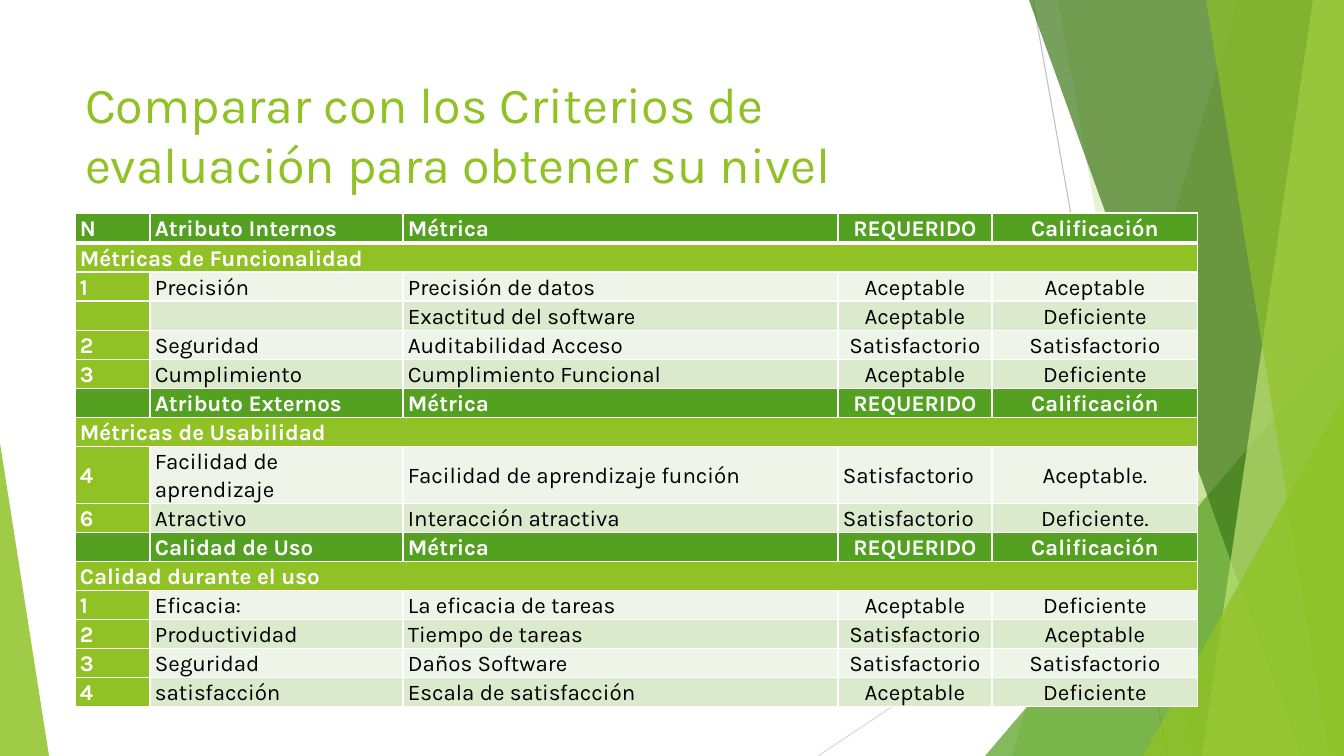
from lxml.etree import SubElement
from pptx import Presentation
from pptx.dml.color import RGBColor
from pptx.enum.shapes import MSO_CONNECTOR, MSO_SHAPE
from pptx.enum.text import MSO_ANCHOR, MSO_AUTO_SIZE, PP_ALIGN
from pptx.oxml.ns import qn
from pptx.util import Pt

PX = 12192000 / 1344
WIDTH, HEIGHT = 1344, 756
FONT = "Karla"
LIME, GREEN, WHITE, BLACK = "90C226", "54A021", "FFFFFF", "000000"
BANDS = ["EEF4E8", "DBE9CD"]

TITLE = "Comparar con los Criterios de evaluación para obtener su nivel"
# Each section: header cells, band label, data rows
SECTIONS = [
    (("N", "Atributo Internos"), "Métricas de Funcionalidad", [
        ("1", "Precisión", "Precisión de datos", "Aceptable", "Aceptable"),
        ("", "", "Exactitud del software", "Aceptable", "Deficiente"),
        ("2", "Seguridad", "Auditabilidad Acceso", "Satisfactorio", "Satisfactorio"),
        ("3", "Cumplimiento", "Cumplimiento Funcional", "Aceptable", "Deficiente"),
    ]),
    (("", "Atributo Externos"), "Métricas de Usabilidad", [
        ("4", "Facilidad de aprendizaje", "Facilidad de aprendizaje función",
         "Satisfactorio", "Aceptable."),
        ("6", "Atractivo", "Interacción atractiva", "Satisfactorio", "Deficiente."),
    ]),
    (("", "Calidad de Uso"), "Calidad durante el uso", [
        ("1", "Eficacia:", "La eficacia de tareas", "Aceptable", "Deficiente"),
        ("2", "Productividad", "Tiempo de tareas", "Satisfactorio", "Aceptable"),
        ("3", "Seguridad", "Daños Software", "Satisfactorio", "Satisfactorio"),
        ("4", "satisfacción", "Escala de satisfacción", "Aceptable", "Deficiente"),
    ]),
]
SHARED_HEADERS = ("Métrica", "REQUERIDO", "Calificación")
LEFT_REQUIRED_SECTION = "Métricas de Usabilidad"

COLUMNS = [75, 253, 435, 154, 206]
TABLE_LEFT, TABLE_TOP = 75, 213
ROW_HEIGHT, TALL_ROW_HEIGHT = 29, 57
TALL_ROW_LABEL = "Facilidad de aprendizaje"

GUIDES = [((1033, 0), (1167, 756), "BFBFBF"), ((1344, 406), (818, 756), "D9D9D9")]
# Facets reach the right edge: (top x, bottom x, colour, opacity %)
# Triangles: (left, top, apex position, width, colour, opacity %), down to the slide bottom
FACETS = [
    ("band", (1238, 1012, LIME, 30)),
    ("band", (1058, 1192, LIME, 20)),
    ("triangle", (985, 336, 1, 359, GREEN, 72)),
    ("band", (1029, 1301, "3F7819", 70)),
    ("band", (1313, 1202, "C0E474", 70)),
    ("band", (1206, 1329, LIME, 65)),
    ("triangle", (1143, 396, 1, 201, LIME, 80)),
    ("triangle", (0, 443, 0, 49, LIME, 85)),
]


def px(*lengths):
    return [round(length * PX) for length in lengths]


def colour(value):
    return RGBColor.from_string(value)


def paint(shape, fill, opacity):
    shape.shadow.inherit = False
    shape.line.fill.background()
    shape.fill.solid()
    shape.fill.fore_color.rgb = colour(fill)
    tint = shape.fill._xPr.find(qn("a:solidFill"))[0]
    SubElement(tint, qn("a:alpha"), val=str(opacity * 1000))


def add_guide(page, start, end, tone):
    guide = page.shapes.add_connector(MSO_CONNECTOR.STRAIGHT, *px(*start, *end))
    guide.line.color.rgb = colour(tone)
    guide.line.width = Pt(0.75)
    SubElement(guide.element.spPr, qn("a:effectLst"))


def add_band(page, top_x, bottom_x, fill, opacity):
    builder = page.shapes.build_freeform(top_x, 0, scale=PX)
    builder.add_line_segments([(WIDTH, 0), (WIDTH, HEIGHT), (bottom_x, HEIGHT)], close=True)
    paint(builder.convert_to_shape(), fill, opacity)


def add_triangle(page, left, top, apex, width, fill, opacity):
    triangle = page.shapes.add_shape(
        MSO_SHAPE.ISOSCELES_TRIANGLE, *px(left, top, width, HEIGHT - top))
    triangle.adjustments[0] = apex
    paint(triangle, fill, opacity)


def add_span(para, text, size, tone, bold=False):
    span = para.add_run()
    span.text = text
    span.font.name = FONT
    span.font.size = Pt(size)
    span.font.bold = bold
    span.font.color.rgb = colour(tone)


def place_title(page):
    title = page.shapes.title
    page.shapes.element.append(title.element)  # bring in front of the facets
    title.left, title.top, title.width, title.height = px(75, 68, 947, 145)
    frame = title.text_frame
    frame.word_wrap = True
    frame.auto_size = MSO_AUTO_SIZE.NONE
    frame.vertical_anchor = MSO_ANCHOR.TOP
    para = frame.paragraphs[0]
    para.alignment = PP_ALIGN.LEFT
    add_span(para, TITLE, 36, LIME)


def table_rows():
    """Return (texts, fills, kind, left-aligned requirement) for every row."""
    rows = []
    for header, label, records in SECTIONS:
        rows.append((header + SHARED_HEADERS, [GREEN] * 5, "header", False))
        rows.append(((label, "", "", "", ""), [LIME] * 5, "label", False))
        for index, record in enumerate(records):
            fills = [LIME] + [BANDS[index % 2]] * 4
            rows.append((record, fills, "data", label == LEFT_REQUIRED_SECTION))
    return rows


def add_borders(cell, top, bottom):
    properties = cell._tc.get_or_add_tcPr()
    for side, points in (("L", 1), ("R", 1), ("T", top), ("B", bottom)):
        line = SubElement(properties, qn("a:ln" + side), w=str(Pt(points)))
        SubElement(SubElement(line, qn("a:solidFill")), qn("a:srgbClr"), val=WHITE)


def fill_cell(cell, text, fill, bold, centred):
    cell.fill.solid()
    cell.fill.fore_color.rgb = colour(fill)
    cell.vertical_anchor = MSO_ANCHOR.MIDDLE
    cell.margin_left, cell.margin_right, cell.margin_top, cell.margin_bottom = px(5, 5, 1, 0)
    para = cell.text_frame.paragraphs[0]
    para.alignment = PP_ALIGN.CENTER if centred else PP_ALIGN.LEFT
    para.line_spacing = 1.07
    para.space_after = Pt(8)
    if text:
        add_span(para, text, 16, WHITE if bold else BLACK, bold)
    else:
        SubElement(para._p, qn("a:endParaRPr"), sz="1600")


def add_ratings(page):
    rows = table_rows()
    heights = [TALL_ROW_HEIGHT if row[0][1] == TALL_ROW_LABEL else ROW_HEIGHT for row in rows]
    heights[0] += 1
    ratings = page.shapes.add_table(
        len(rows), len(COLUMNS), *px(TABLE_LEFT, TABLE_TOP, sum(COLUMNS), sum(heights))).table
    for column, width in zip(ratings.columns, px(*COLUMNS)):
        column.width = width
    for row, height in zip(ratings.rows, px(*heights)):
        row.height = height
    for r, (texts, fills, kind, left_required) in enumerate(rows):
        for c, (text, fill) in enumerate(zip(texts, fills)):
            cell = ratings.cell(r, c)
            add_borders(cell, top=3 if r == 1 else 1, bottom=3 if r == 0 else 1)
            centred = c == 4 or (c == 3 and not left_required)
            fill_cell(cell, text, fill, kind != "data" or c == 0, centred)
        if kind == "label":
            ratings.cell(r, 0).merge(ratings.cell(r, 4))


def main():
    deck = Presentation()
    deck.slide_width, deck.slide_height = px(WIDTH, HEIGHT)
    page = deck.slides.add_slide(deck.slide_layouts[5])
    for guide in GUIDES:
        add_guide(page, *guide)
    draw = {"band": add_band, "triangle": add_triangle}
    for kind, values in FACETS:
        draw[kind](page, *values)
    place_title(page)
    add_ratings(page)
    deck.save("out.pptx")


if __name__ == "__main__":
    main()
